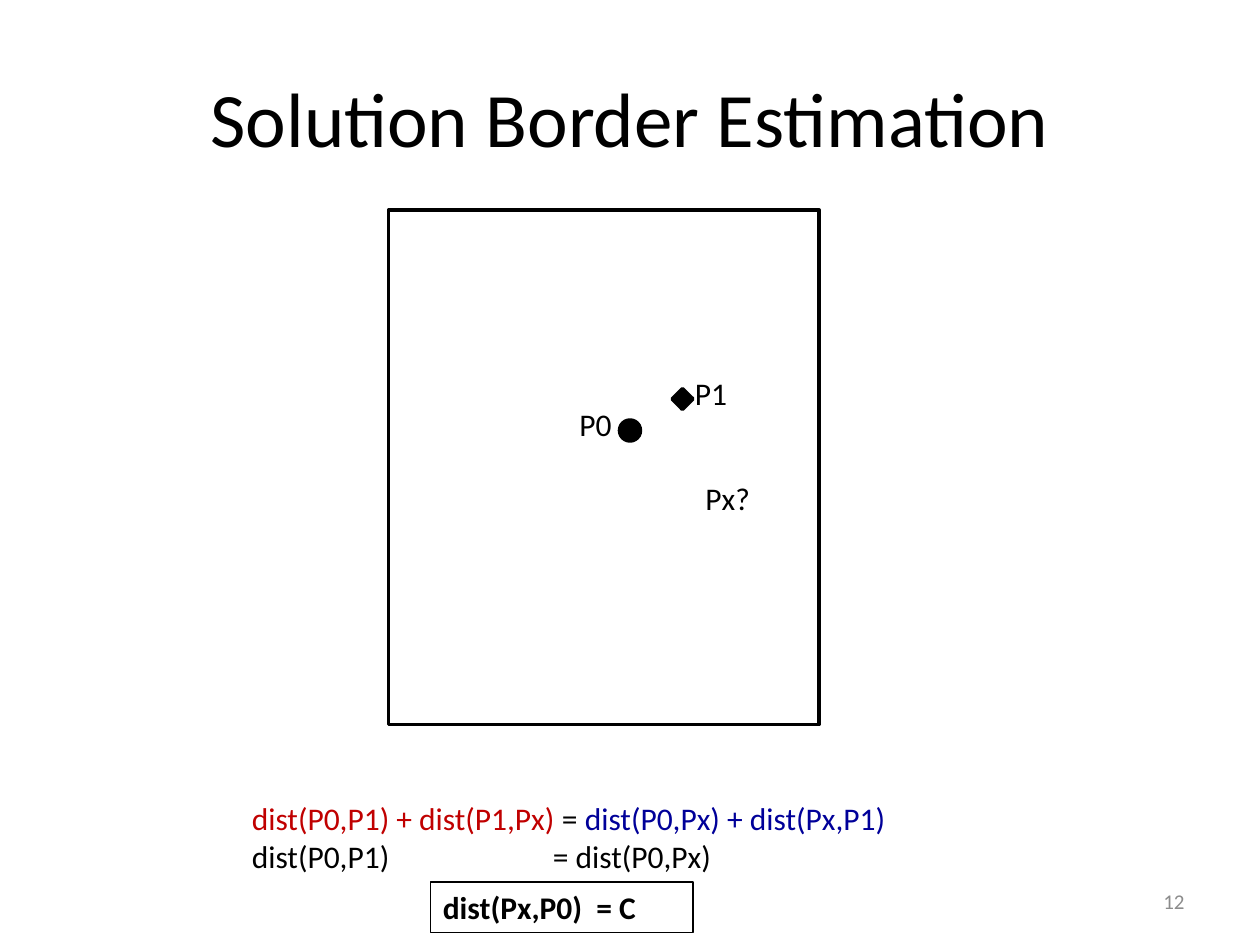
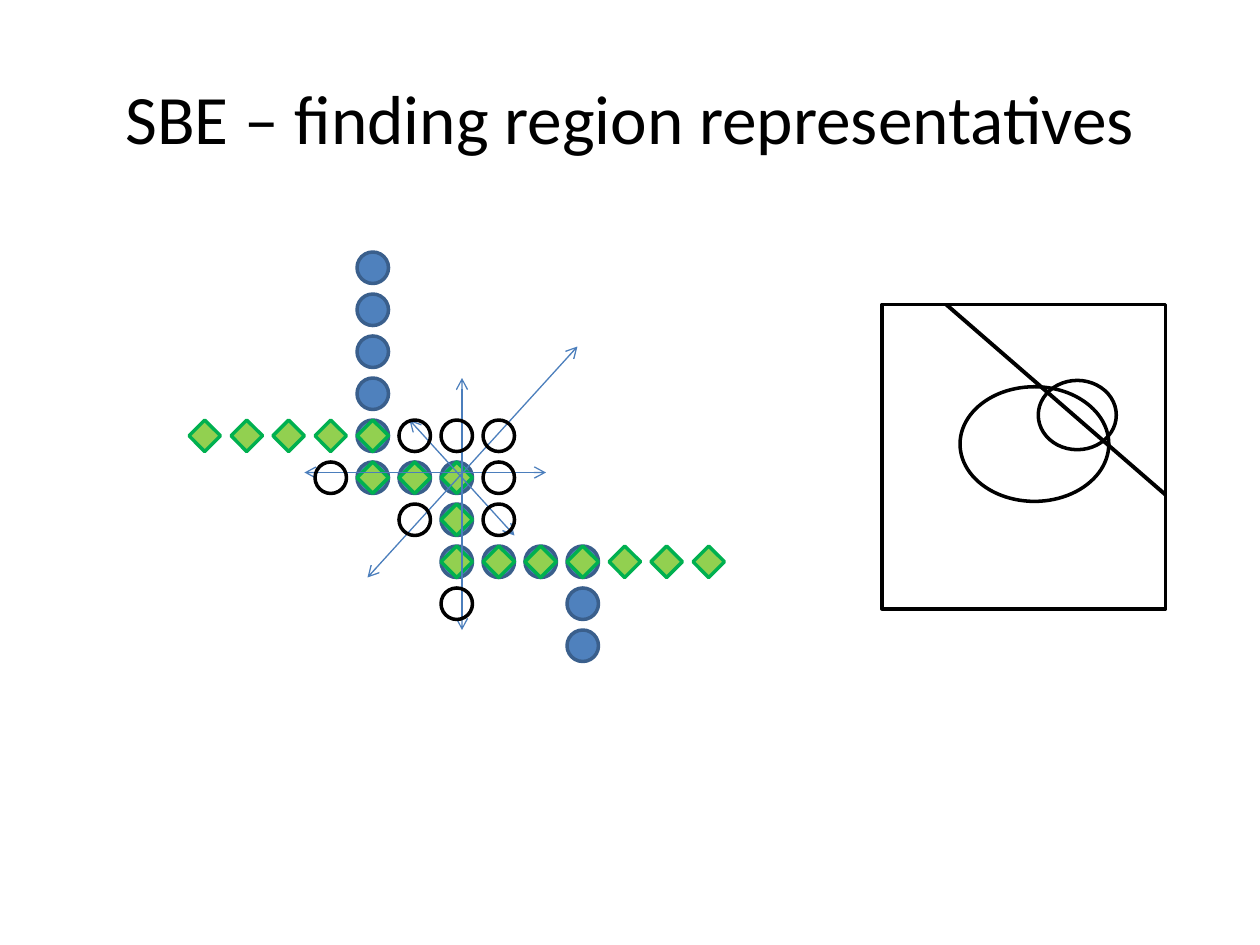
from lxml import etree
from pptx import Presentation
from pptx.dml.color import RGBColor
from pptx.enum import shapes, text
from pptx.oxml import ns
from pptx.util import Pt

FONT = "Calibri"
BLACK, RED, NAVY, GREY = "000000", "C00000", "000099", "8C8C8C"
BLUE, BLUE_EDGE, ARROW = "4F81BD", "3A5F8C", "4B7EBC"
GREEN, GREEN_EDGE = "92D050", "00B050"
OVAL = shapes.MSO_SHAPE.OVAL
DIAMOND = shapes.MSO_SHAPE.DIAMOND
RECT = shapes.MSO_SHAPE.RECTANGLE
LEFT, CENTER, RIGHT = text.PP_ALIGN.LEFT, text.PP_ALIGN.CENTER, text.PP_ALIGN.RIGHT
DIST_BOX = (136.8, 452.9, 433.4, 51.1)
PLANE_BOX = (222, 120, 246, 294)
GRID_ORIGIN = (108, 144)
REGION_BOX = (504, 174, 162, 174)


def rgb(value):
    """Return the colour for a hex string."""
    return RGBColor.from_string(value)


def add_child(parent, tag, **attrs):
    """Append a drawing element with the given attributes."""
    return etree.SubElement(parent, ns.qn(tag), attrs)


def format_run(r, size, color, bold=False):
    """Apply the deck font to a run."""
    r.font.name = FONT
    r.font.size = Pt(size)
    r.font.bold = bold
    r.font.color.rgb = rgb(color)


def add_box(slide, box, wrap, anchor=text.MSO_ANCHOR.TOP):
    """Add an empty text box."""
    sp = slide.shapes.add_textbox(*map(Pt, box))
    tf = sp.text_frame
    tf.word_wrap = wrap
    tf.vertical_anchor = anchor
    return sp


def add_line_of_text(slide, box, words, size, color, align):
    """Add one vertically centred line of text."""
    sp = add_box(slide, box, True, text.MSO_ANCHOR.MIDDLE)
    p = sp.text_frame.paragraphs[0]
    p.text = words
    p.alignment = align
    format_run(p.runs[0], size, color)


def add_label(slide, box, words, wrap=False, bold=False):
    """Add an 18 point label that grows with its text."""
    sp = add_box(slide, box, wrap)
    sp.text_frame.auto_size = text.MSO_AUTO_SIZE.SHAPE_TO_FIT_TEXT
    p = sp.text_frame.paragraphs[0]
    p.text = words
    format_run(p.runs[0], 18, BLACK, bold)
    return sp


def add_figure(parent, kind, box, fill=None, line=BLACK):
    """Add a preset shape with a 2 point outline."""
    sp = parent.shapes.add_shape(kind, *map(Pt, box))
    sp.shadow.inherit = False
    if fill:
        sp.fill.solid()
        sp.fill.fore_color.rgb = rgb(fill)
    else:
        sp.fill.background()
    sp.line.color.rgb = rgb(line)
    sp.line.width = Pt(2)


def add_line(parent, ends, color, width, arrows=False):
    """Add a straight line, with open arrowheads at both ends on request."""
    cx = parent.shapes.add_connector(shapes.MSO_CONNECTOR.STRAIGHT, *map(Pt, ends))
    cx.line.color.rgb = rgb(color)
    cx.line.width = Pt(width)
    if arrows:
        ln = cx.line._get_or_add_ln()
        add_child(ln, "a:headEnd", type="arrow")
        add_child(ln, "a:tailEnd", type="arrow")
    add_child(cx._element.spPr, "a:effectLst")


def add_slide(prs, title, size):
    """Add a blank slide with the shared title."""
    slide = prs.slides.add_slide(prs.slide_layouts[6])
    add_line_of_text(slide, (36, 21.6, 648, 90), title, size, BLACK, CENTER)
    return slide


def draw_plane(slide, box):
    """Draw the frame with its known and unknown points."""
    x, y, _, _ = box
    add_figure(slide, RECT, box)
    add_figure(slide, OVAL, (x + 132, y + 120, 12, 12), BLACK)
    add_figure(slide, DIAMOND, (x + 162, y + 102, 12, 12), BLACK)
    for words, dx, dy, width in (("P0", 102, 108, 33), ("P1", 168, 90, 33), ("Px?", 174, 150, 40)):
        add_label(slide, (x + dx, y + dy, width, 29), words)


def draw_distances(slide, box):
    """Write the distance equations and the boxed result below them."""
    x, y, _, _ = box
    sp = add_box(slide, box, False)
    sp.text_frame.auto_size = text.MSO_AUTO_SIZE.SHAPE_TO_FIT_TEXT
    p = sp.text_frame.paragraphs[0]
    for words, color in (("dist(P0,P1) + dist(P1,Px) ", RED), ("= ", BLACK),
                         ("dist(P0,Px) + dist(Px,P1)", NAVY)):
        r = p.add_run()
        r.text = words
        format_run(r, 18, color)
    p = sp.text_frame.add_paragraph()
    p.text = "dist(P0,P1)\t= dist(P0,Px)"
    format_run(p.runs[0], 18, BLACK)
    tabs = add_child(p._p.get_or_add_pPr(), "a:tabLst")
    add_child(tabs, "a:tab", pos=str(Pt(172)), algn="l")
    result = add_label(slide, (x + 109.2, y + 51.1, 150, 29), "dist(Px,P0)  = C", True, True)
    result.line.color.rgb = rgb(BLACK)
    result.line.width = Pt(0.75)


def draw_grid(slide, origin):
    """Draw the marker grid and the search directions across it."""
    x, y = origin
    pitch, size = 24, 18

    def mark(kind, cells, fill, line):
        """Place one marker in each (column, row) cell."""
        for col, row in cells:
            add_figure(slide, kind, (x + col * pitch, y + row * pitch, size, size), fill, line)

    bend = [(5, 5), (6, 5), (6, 6)]
    circles = [(4, row) for row in range(6)] + bend
    circles += [(col, 7) for col in range(6, 10)] + [(9, 8), (9, 9)]
    diamonds = [(col, 4) for col in range(5)] + [(4, 5)] + bend
    diamonds += [(col, 7) for col in range(6, 13)]
    candidates = [(5, 4), (6, 4), (7, 4), (3, 5), (7, 5), (5, 6), (7, 6), (6, 8)]
    mark(OVAL, circles, BLUE, BLUE_EDGE)
    mark(DIAMOND, diamonds, GREEN, GREEN_EDGE)
    for x1, y1, x2, y2 in ((156, 72, 156, 216), (204, 126, 66, 126),
                           (222, 54, 102, 186), (126, 96, 186, 162)):
        add_line(slide, (x + x1, y + y1, x + x2, y + y2), ARROW, 0.75, True)
    mark(OVAL, candidates, None, BLACK)


def draw_regions(slide, box):
    """Draw the grouped frame with its border line and two regions."""
    x, y, w, _ = box
    group = slide.shapes.add_group_shape()
    add_figure(group, RECT, box)
    add_line(group, (x + w, y + 108.7, x + 36.7, y), BLACK, 2.25)
    for dx, dy, width, height in ((89.3, 43.4, 44.6, 39.6), (44.6, 47, 85, 65.5)):
        add_figure(group, OVAL, (x + dx, y + dy, width, height))


def build_estimation(prs):
    """Build the border estimation slide."""
    slide = add_slide(prs, "Solution Border Estimation", 44)
    add_line_of_text(slide, (516, 500.5, 168, 28.8), "12", 12, GREY, RIGHT)
    draw_distances(slide, DIST_BOX)
    draw_plane(slide, PLANE_BOX)


def build_representatives(prs):
    """Build the region representatives slide."""
    slide = add_slide(prs, "SBE – finding region representatives", 39.6)
    draw_grid(slide, GRID_ORIGIN)
    draw_regions(slide, REGION_BOX)


def main():
    """Build and save the deck."""
    prs = Presentation()
    prs.slide_width, prs.slide_height = Pt(720), Pt(540)
    build_estimation(prs)
    build_representatives(prs)
    prs.save("out.pptx")


main()
